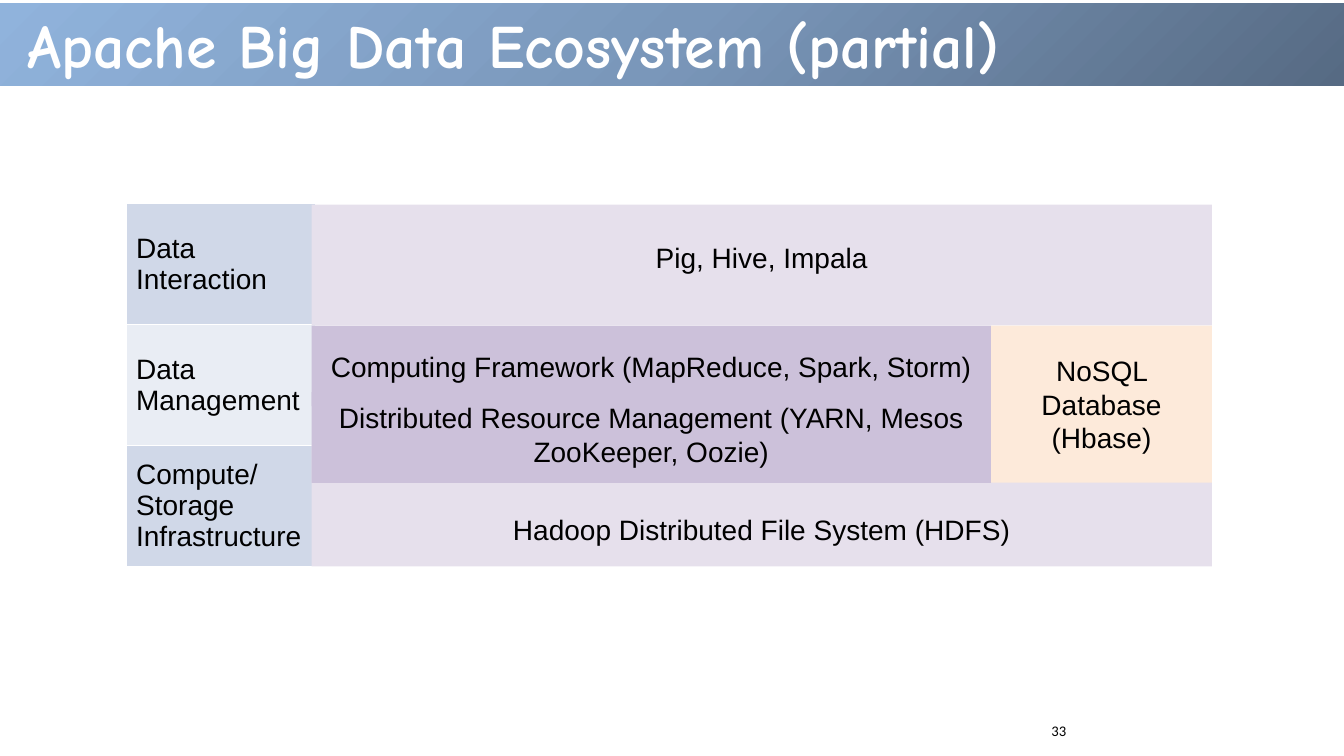
from lxml import etree
from pptx import Presentation
from pptx.dml.color import RGBColor
from pptx.enum.shapes import MSO_SHAPE
from pptx.enum.text import MSO_ANCHOR, MSO_AUTO_SIZE, PP_ALIGN
from pptx.util import Inches, Pt

RECT = MSO_SHAPE.RECTANGLE
MIDDLE, BOTTOM = MSO_ANCHOR.MIDDLE, MSO_ANCHOR.BOTTOM
LEFT, CENTER = PP_ALIGN.LEFT, PP_ALIGN.CENTER
NO_FIT = MSO_AUTO_SIZE.NONE

BLACK = RGBColor(0x00, 0x00, 0x00)
WHITE = RGBColor(0xFF, 0xFF, 0xFF)
BLUE = RGBColor(0xD0, 0xD8, 0xE8)
PALE_BLUE = RGBColor(0xE9, 0xED, 0xF4)
LILAC = RGBColor(0xE6, 0xE0, 0xEC)
PURPLE = RGBColor(0xCC, 0xC1, 0xDA)
PEACH = RGBColor(0xFD, 0xEA, 0xDA)

# Content
TITLE = "Apache Big Data Ecosystem (partial)"
TITLE_STOPS = [(0, "566A83"), (50, "7A97BA"), (100, "90B3DC")]
PAGE = "33"
LAYERS = [
    ("Data Interaction", BLUE),
    ("Data Management", PALE_BLUE),
    ("Compute/ Storage Infrastructure", BLUE),
]

# Grid, in inches
WIDTH, HEIGHT = 13.33, 7.5
STACK_LEFT, STORE_LEFT, STACK_RIGHT = 3.09, 9.83, 12.02
STACK_TOP, LAYER_H, HEADER_H = 2.03, 1.2, 0.66
LABEL_LEFT, LABEL_W = 1.25, 1.88
MID_TOP = STACK_TOP + LAYER_H
BASE_TOP, BASE_BOTTOM = 4.42, 5.62
MID_BOTTOM = 4.79

# Text, fill, left, top, right, bottom, anchor, bottom inset; back to front
BLOCKS = [
    ("Hadoop Distributed File System (HDFS)", LILAC,
     STACK_LEFT, BASE_TOP, STACK_RIGHT, BASE_BOTTOM, BOTTOM, 0.2),
    ("Distributed Resource Management (YARN, Mesos ZooKeeper, Oozie)", PURPLE,
     STACK_LEFT, 3.89, STORE_LEFT, MID_BOTTOM, BOTTOM, 0.15),
    ("Computing Framework (MapReduce, Spark, Storm)", PURPLE,
     STACK_LEFT, MID_TOP, STORE_LEFT, 4.03, MIDDLE, 0.05),
    ("Pig, Hive, Impala", LILAC,
     STACK_LEFT, STACK_TOP, STACK_RIGHT, MID_TOP, MIDDLE, 0.2),
    ("NoSQL Database (Hbase)", PEACH,
     STORE_LEFT, MID_TOP, STACK_RIGHT, MID_BOTTOM, MIDDLE, 0.05),
]


def write(tf, text, size=20, font="Arial", color=BLACK, align=LEFT, bold=False):
    p = tf.paragraphs[0]
    p.alignment = align
    r = p.add_run()
    r.text = text
    r.font.size, r.font.name, r.font.bold = Pt(size), font, bold
    r.font.color.rgb = color


def fill_radial(s, stops):
    ns = "http://schemas.openxmlformats.org/drawingml/2006/main"
    marks = "".join(f'<a:gs pos="{pos * 1000}"><a:srgbClr val="{rgb}"/></a:gs>'
                    for pos, rgb in stops)
    s.element.spPr.append(etree.fromstring(
        f'<a:gradFill xmlns:a="{ns}" rotWithShape="1"><a:gsLst>{marks}</a:gsLst>'
        '<a:path path="circle"><a:fillToRect l="100000" t="100000"/></a:path>'
        '</a:gradFill>'))


prs = Presentation()
prs.slide_width, prs.slide_height = Inches(WIDTH), Inches(HEIGHT)
slide = prs.slides.add_slide(prs.slide_layouts[5])

# Title band
title = slide.shapes.title
title.left, title.top = Inches(0), Inches(0.03)
title.width, title.height = Inches(WIDTH), Inches(0.82)
fill_radial(title, TITLE_STOPS)
tf = title.text_frame
tf.auto_size, tf.word_wrap = NO_FIT, True
tf.vertical_anchor, tf.margin_left = MIDDLE, Inches(0.27)
write(tf, TITLE, 44, "Comic Neue", WHITE, bold=True)

# Page number
box = slide.shapes.add_textbox(Inches(10.33), Inches(7.11), Inches(3), Inches(0.4))
box.text_frame.word_wrap = True
write(box.text_frame, PAGE, 10.5, "Calibri")

# Layer labels, under an empty header row
table = slide.shapes.add_table(
    len(LAYERS) + 1, 1, Inches(LABEL_LEFT), Inches(BASE_BOTTOM - 3 * LAYER_H - HEADER_H),
    Inches(LABEL_W), Inches(HEADER_H + 3 * LAYER_H)).table
table.rows[0].height = Inches(HEADER_H)
table.cell(0, 0).fill.background()
for row, (label, color) in enumerate(LAYERS, start=1):
    table.rows[row].height = Inches(LAYER_H)
    cell = table.cell(row, 0)
    cell.fill.solid()
    cell.fill.fore_color.rgb = color
    cell.vertical_anchor = MIDDLE
    write(cell.text_frame, label)

# Technology blocks
for text, color, left, top, right, bottom, anchor, inset in BLOCKS:
    s = slide.shapes.add_shape(RECT, Inches(left), Inches(top),
                               Inches(right - left), Inches(bottom - top))
    s.shadow.inherit = False
    s.fill.solid()
    s.fill.fore_color.rgb = color
    s.line.fill.background()
    tf = s.text_frame
    tf.word_wrap, tf.vertical_anchor = True, anchor
    tf.margin_bottom = Inches(inset)
    write(tf, text, align=CENTER)

prs.save("out.pptx")
